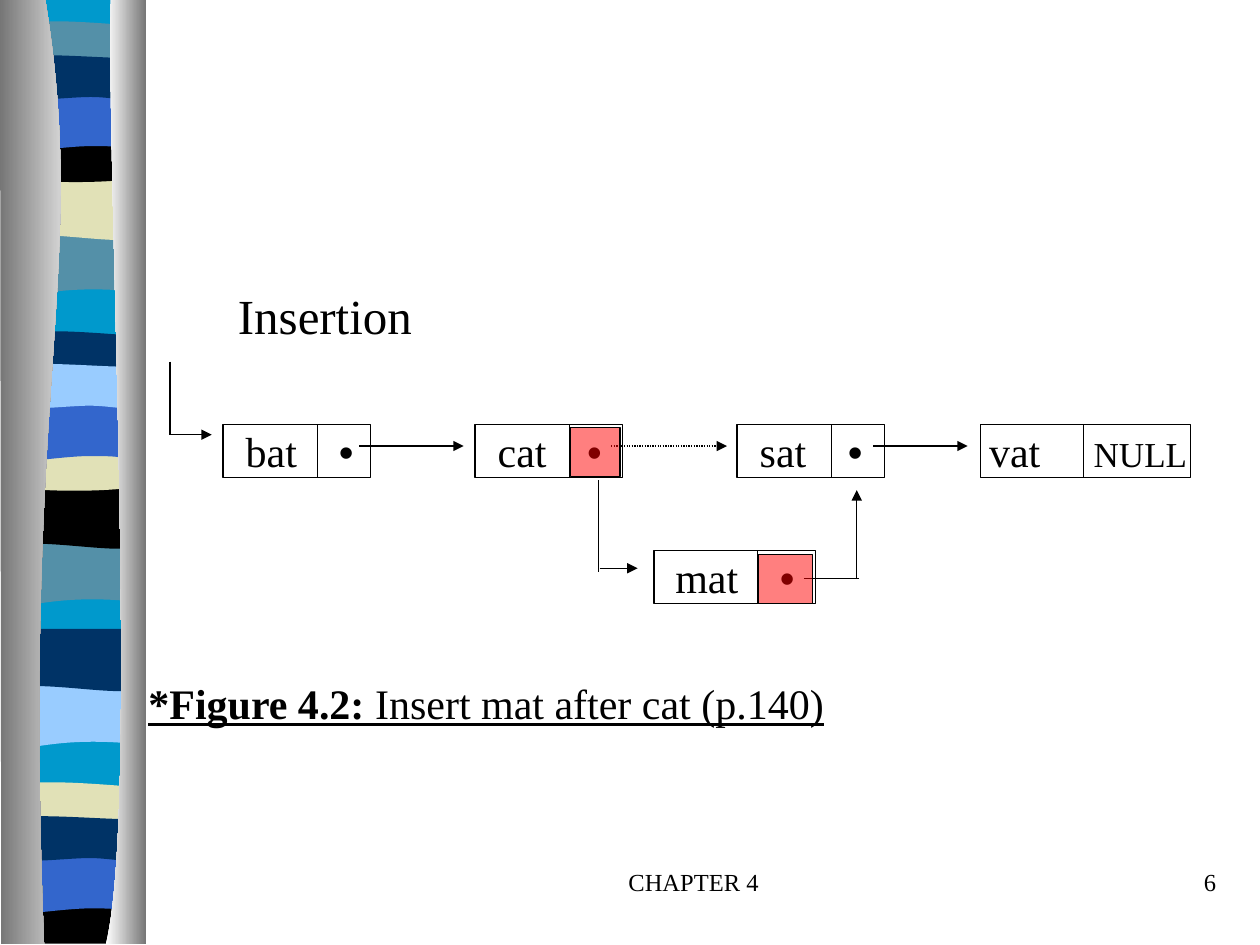
from dataclasses import dataclass
from lxml.etree import SubElement
from pptx import Presentation
from pptx.dml.color import RGBColor
from pptx.enum.dml import MSO_LINE
from pptx.enum.shapes import MSO_CONNECTOR, MSO_SHAPE
from pptx.enum.text import PP_ALIGN
from pptx.oxml.ns import qn
from pptx.util import Pt

SCALE = 9144  # EMU in one px, 100 px to the inch


@dataclass(frozen=True)
class Theme:
    ink: str = "000000"
    red: str = "FF0000"
    sky: str = "0099CC"
    teal: str = "5490A8"
    sand: str = "E1E1B7"
    blue: str = "3366CC"
    navy: str = "003366"
    pale: str = "99CCFF"
    dark: str = "767676"
    white: str = "FFFFFF"
    serif: str = "Times New Roman"
    sans: str = "Arial"
    title: int = 28
    body: int = 24
    null: int = 20
    foot: int = 14
    line: float = 0.75


T = Theme()

# Band outlines: pairs are corners, sixes are Bezier curves.
FLOW = [(108, 0), (108, 47), (33, 39, 18, 55, 0, 47), (0, 0)]
SWELL = [(108, 0), (108, 47), (90, 55, 33, 41, 0, 47), (0, 0)]
CREST = [(108, 5), (108, 29), (90, 33, 18, 33, 0, 29), (0, 5),
         (6, 0, 23, 1, 41, 1), (59, 1, 94, 4, 108, 5)]
ARCH = [(108, 0), (108, 32), (90, 38, 18, 38, 0, 32), (0, 0),
        (66, 5, 85, 0, 108, 0)]
DIP = [(108, 0), (108, 47), (91, 42, 84, 42, 66, 42),
       (48, 42, 16, 47, 0, 47), (0, 0)]
RIPPLE = [(108, 5), (108, 36), (101, 41, 84, 36, 66, 36),
          (48, 36, 11, 41, 0, 36), (0, 5), (15, 0, 73, 5, 91, 5),
          (109, 5, 104, 5, 108, 5)]
BASE = [(108, 0), (108, 747), (0, 747), (0, 0)]
FOOT = [(108, 0), (108, 37), (0, 37), (0, 0), (66, 5, 85, 0, 108, 0)]
LEFT = [(36, 0), (71, 216, 17, 296, 35, 749), (1, 749), (0, 0)]
RIGHT = [(88, 0), (84, 125, 111, 646, 84, 749), (116, 749), (116, 0)]

# outline, left, top, colour
BANDS = [
    (BASE, 6, 0, T.sky),
    (FLOW, 6, 185, T.teal), (SWELL, 6, 141, T.sand), (CREST, 6, 16, T.teal),
    (ARCH, 6, 108, T.ink), (DIP, 6, 74, T.blue), (RIPPLE, 6, 41, T.navy),
    (FLOW, 5, 431, T.teal), (SWELL, 5, 386, T.ink), (CREST, 5, 262, T.navy),
    (ARCH, 5, 353, T.sand), (DIP, 5, 320, T.blue), (RIPPLE, 5, 286, T.pale),
    (FLOW, 6, 544, T.pale), (SWELL, 6, 499, T.navy), (CREST, 5, 620, T.sand),
    (FOOT, 5, 712, T.ink), (DIP, 5, 679, T.blue), (RIPPLE, 5, 645, T.navy),
]

DOT = ("•", T.body, T.sans)
NULL = ("NULL", T.null, T.serif)
# word, left, top, width, divider, text left, tab, link
NODES = [
    ("bat", 177, 337, 117, 75, 177, 74, DOT),
    ("cat", 377, 337, 117, 75, 377, 71, DOT),
    ("sat", 585, 337, 117, 75, 585, 70, DOT),
    ("vat", 778, 337, 167, 82, 767, 83, NULL),
    ("mat", 519, 437, 128, 82, 518, 83, DOT),
]
PLAIN = [(135, 287, 135, 345), (475, 381, 475, 454), (638, 459, 682, 459)]
ARROWS = [(135, 345, 168, 345), (285, 354, 368, 354), (693, 354, 768, 354),
          (476, 451, 506, 451), (680, 459, 680, 389)]
CUT = (485, 354, 577, 354)
MARKS = [(453, 339, 39, 39), (602, 440, 43, 39)]


def px(*sizes):
    return [size * SCALE for size in sizes]


def rgb(code):
    return RGBColor.from_string(code)


def bend(form, steps):
    """Join the three legs of each six in steps into one Bezier curve."""
    legs = iter(list(form._element.iter(qn("a:lnTo"))))
    for step in steps[1:]:
        curve = next(legs)
        if len(step) == 6:
            curve.tag = qn("a:cubicBezTo")
            for leg in (next(legs), next(legs)):
                curve.append(leg[0])
                leg.getparent().remove(leg)


def add_form(slide, steps, left, top):
    points = [((step[i] + left) * SCALE, (step[i + 1] + top) * SCALE)
              for step in steps for i in range(0, len(step), 2)]
    pen = slide.shapes.build_freeform(*points[0])
    # A last point on the start is kept: it may end a curve.
    pen.add_line_segments(points[1:], close=True)
    form = pen.convert_to_shape()
    bend(form, steps)
    form.shadow.inherit = False
    form.line.fill.background()
    return form


def add_band(slide, steps, left, top, color):
    form = add_form(slide, steps, left, top)
    form.fill.solid()
    form.fill.fore_color.rgb = rgb(color)


def add_edge(slide, steps, colors):
    fill = add_form(slide, steps, 0, 0).fill
    fill.gradient()
    fill.gradient_angle = 0
    for stop, color in zip(fill.gradient_stops, colors):
        stop.color.rgb = rgb(color)


def add_box(slide, box, color=None):
    """Draw an outlined box, half clear where it has a colour."""
    rect = slide.shapes.add_shape(MSO_SHAPE.RECTANGLE, *px(*box))
    rect.shadow.inherit = False
    rect.line.color.rgb = rgb(T.ink)
    rect.line.width = Pt(T.line)
    if color is None:
        rect.fill.background()
        return
    rect.fill.solid()
    rect.fill.fore_color.rgb = rgb(color)
    tint = rect.fill._xPr.find(qn("a:solidFill"))[0]
    SubElement(tint, qn("a:alpha"), val="50000")


def add_line(slide, ends, head=False, dash=None):
    line = slide.shapes.add_connector(MSO_CONNECTOR.STRAIGHT, *px(*ends))
    line.line.color.rgb = rgb(T.ink)
    line.line.width = Pt(T.line)
    if dash:
        line.line.dash_style = dash
    if head:
        SubElement(line.line._get_or_add_ln(), qn("a:tailEnd"), type="triangle")
    SubElement(line._element.spPr, qn("a:effectLst"))


def add_text(slide, box, runs, align=PP_ALIGN.LEFT, tab=None, strong=()):
    """Write runs of (words, size, font); strong says which are bold and
    underlines them all."""
    frame = slide.shapes.add_textbox(*px(*box)).text_frame
    frame.word_wrap = True
    para = frame.paragraphs[0]
    para.alignment = align
    if tab:
        frame.margin_left, frame.margin_right = px(18, 0)
        tabs = SubElement(para._p.get_or_add_pPr(), qn("a:tabLst"))
        SubElement(tabs, qn("a:tab"), pos=str(tab * SCALE), algn="l")
    for i, (words, size, face) in enumerate(runs):
        run = para.add_run()
        run.text = words
        run.font.size = Pt(size)
        run.font.name = face
        run.font.color.rgb = rgb(T.ink)
        if strong:
            run.font.bold = strong[i]
            run.font.underline = True


def add_node(slide, word, left, top, width, split, start, tab, link):
    add_box(slide, (left, top, width, 42))
    add_line(slide, (left + split, top, left + split, top + 42))
    add_text(slide, (start, top - 4, left + width + 7 - start, 50),
             [(word + "\t", T.body, T.serif), link], tab=tab)


def main():
    deck = Presentation()
    deck.slide_width, deck.slide_height = px(1000, 750)
    slide = deck.slides.add_slide(deck.slide_layouts[6])
    for band in BANDS:
        add_band(slide, *band)
    add_edge(slide, LEFT, (T.dark, T.white))
    add_edge(slide, RIGHT, (T.white, T.dark))
    add_text(slide, (392, 683, 317, 50), [("CHAPTER 4", T.foot, T.serif)],
             PP_ALIGN.CENTER)
    add_text(slide, (767, 683, 208, 50), [("6", T.foot, T.serif)],
             PP_ALIGN.RIGHT)
    for node in NODES:
        add_node(slide, *node)
    for ends in PLAIN:
        add_line(slide, ends)
    for ends in ARROWS:
        add_line(slide, ends, head=True)
    add_line(slide, CUT, head=True, dash=MSO_LINE.ROUND_DOT)
    for box in MARKS:
        add_box(slide, box, T.red)
    add_text(slide, (179, 222, 162, 57), [("Insertion", T.title, T.serif)])
    add_text(slide, (108, 533, 560, 50),
             [("*Figure 4.2: ", T.body, T.serif),
              ("Insert mat after cat (p.140)", T.body, T.serif)],
             strong=(True, False))
    deck.save("out.pptx")


if __name__ == "__main__":
    main()
